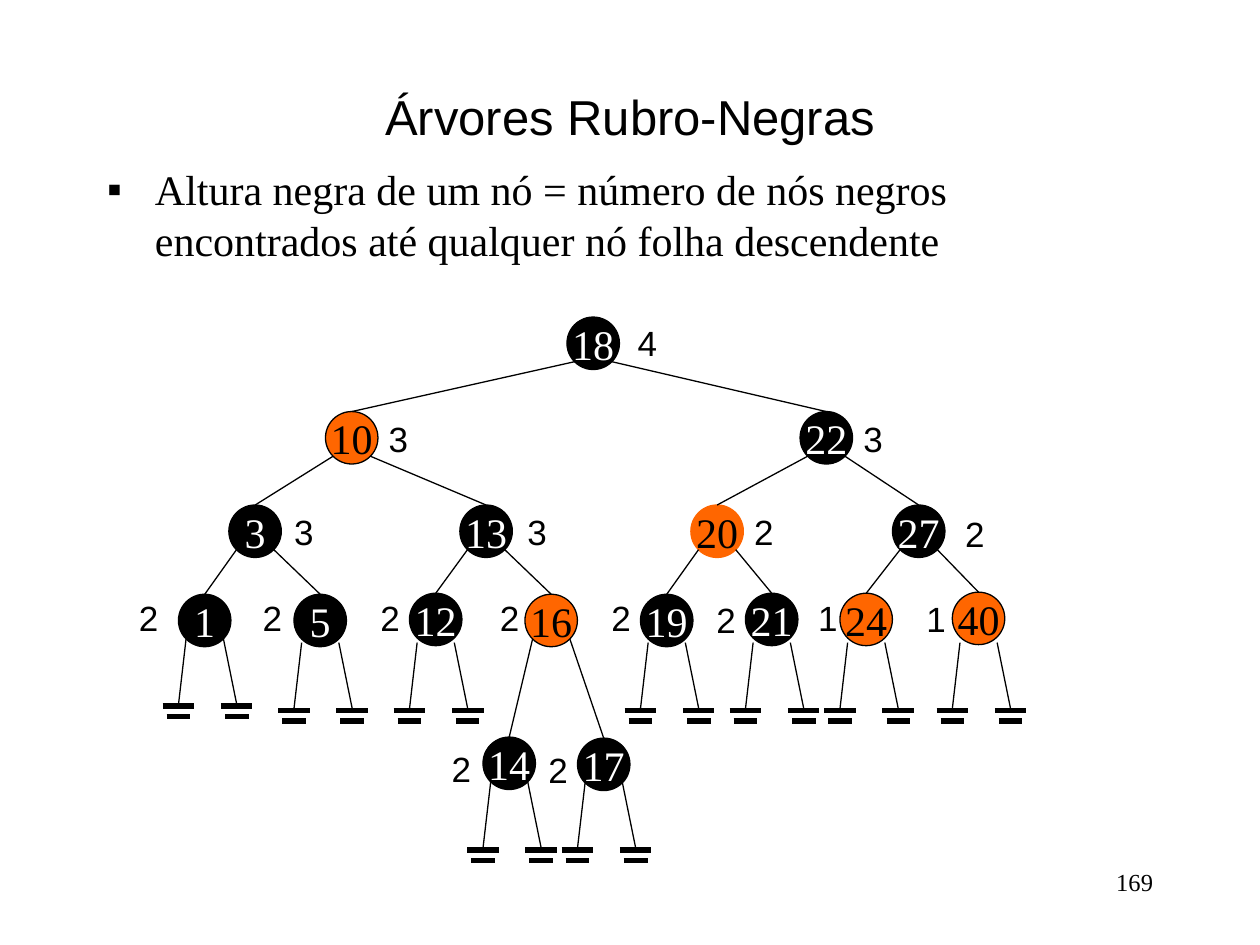
from dataclasses import dataclass

from lxml import etree
from pptx import Presentation
from pptx import util as u
from pptx.dml import color
from pptx.enum import shapes, text
from pptx.oxml import ns


@dataclass(frozen=True)
class Theme:
    black: color.RGBColor = color.RGBColor(0, 0, 0)
    white: color.RGBColor = color.RGBColor(255, 255, 255)
    orange: color.RGBColor = color.RGBColor(255, 102, 0)
    sans: str = "Arial"
    serif: str = "Times New Roman"
    title_size: int = 28
    body_size: int = 24
    label_size: int = 20
    number_size: int = 14
    thin: float = 0.75
    thick: float = 3


@dataclass(frozen=True)
class Node:
    key: int
    column: float
    row: float
    height: int
    label_column: float
    label_row: float
    children: tuple = ()
    ground_row: float = 0


THEME = Theme()
WIDTH, HEIGHT = u.Inches(10), u.Inches(7.5)
COLUMNS = 120
CELL = WIDTH / COLUMNS
DIAMETER = 5
FOOT = 1.77
FOOT_DROP = 4.25
LABEL_WIDTH, LABEL_HEIGHT = 4.3, 5.2
RED = {10, 16, 20, 24, 40}
UNLINED = {20}

TREE = [
    Node(18, 54, 30.2, 4, 59.5, 30, (10, 22)),
    Node(10, 31, 39.2, 3, 35.8, 39.2, (3, 13)),
    Node(22, 76.2, 39.2, 3, 81, 39.2, (20, 27)),
    Node(3, 21.8, 48.1, 3, 26.8, 48, (1, 5)),
    Node(13, 43.8, 48.1, 3, 49, 48, (12, 16)),
    Node(20, 65.8, 48.1, 2, 70.6, 48, (19, 21)),
    Node(27, 85, 48.1, 2, 90.7, 48.2, (24, 40)),
    Node(1, 17, 56.6, 2, 12, 56.2, ground_row=60.8),
    Node(5, 28, 56.6, 2, 23.8, 56.2, ground_row=61.2),
    Node(12, 39, 56.5, 2, 35, 56.2, ground_row=61.2),
    Node(16, 50, 56.6, 2, 46.4, 56.2, (14, 17)),
    Node(19, 61, 56.6, 2, 57, 56.2, ground_row=61.2),
    Node(21, 71, 56.5, 2, 67, 56.4, ground_row=61.2),
    Node(24, 80, 56.5, 1, 76.7, 56.2, ground_row=61.2),
    Node(40, 90.7, 56.4, 1, 87, 56.3, ground_row=61.2),
    Node(14, 46, 70.2, 2, 41.8, 70.6, ground_row=74.5),
    Node(17, 55, 70.3, 2, 51, 70.7, ground_row=74.5),
]


def cells(*counts):
    return [u.Emu(round(count * CELL)) for count in counts]


def write(shape, content, font_name, size, ink, alignment):
    paragraph = shape.text_frame.paragraphs[0]
    paragraph.text = content
    paragraph.alignment = alignment
    paragraph.font.name = font_name
    paragraph.font.size = u.Pt(size)
    paragraph.font.color.rgb = ink
    return paragraph


def place(shape, *bounds):
    shape.left, shape.top, shape.width, shape.height = cells(*bounds)


def fill_title(slide):
    title = slide.shapes.title
    place(title, 9, 8, 102, 6)
    title.text_frame.auto_size = text.MSO_AUTO_SIZE.NONE
    title.text_frame.vertical_anchor = text.MSO_ANCHOR.MIDDLE
    write(title, "Árvores Rubro-Negras", THEME.sans, THEME.title_size,
          THEME.black, text.PP_ALIGN.CENTER)


def fill_body(slide):
    body = slide.placeholders[1]
    place(body, 9, 15, 102, 65)
    body.text_frame.auto_size = text.MSO_AUTO_SIZE.NONE
    properties = body.text_frame.paragraphs[0]._p.get_or_add_pPr()
    indent = u.Inches(0.38)
    properties.set("marL", str(indent))
    properties.set("indent", str(-indent))
    etree.SubElement(properties, ns.qn("a:buChar")).set("char", "▪")
    paragraph = write(
        body,
        "Altura negra de um nó = número de nós negros "
        "encontrados até qualquer nó folha descendente",
        THEME.serif, THEME.body_size, THEME.black, text.PP_ALIGN.LEFT)
    paragraph.space_before = u.Pt(0)


def add_text(slide, content, bounds, font_name, size, alignment, wrap):
    box = slide.shapes.add_textbox(*cells(*bounds))
    box.text_frame.word_wrap = wrap
    write(box, content, font_name, size, THEME.black, alignment)


def add_line(parent, start, end, weight):
    line = parent.shapes.add_connector(
        shapes.MSO_CONNECTOR.STRAIGHT, *cells(*start, *end))
    line.line.color.rgb = THEME.black
    line.line.width = u.Pt(weight)
    etree.SubElement(line._element.spPr, ns.qn("a:effectLst"))
    return line


def add_node(slide, node):
    is_red = node.key in RED
    circle = slide.shapes.add_shape(
        shapes.MSO_SHAPE.OVAL,
        *cells(node.column, node.row, DIAMETER, DIAMETER))
    circle.shadow.inherit = False
    circle.fill.solid()
    circle.fill.fore_color.rgb = THEME.orange if is_red else THEME.black
    circle.line.color.rgb = THEME.orange if node.key in UNLINED else THEME.black
    circle.line.width = u.Pt(THEME.thin)
    circle.text_frame.word_wrap = False
    circle.text_frame.vertical_anchor = text.MSO_ANCHOR.MIDDLE
    write(circle, str(node.key), THEME.serif, THEME.body_size,
          THEME.black if is_red else THEME.white, text.PP_ALIGN.CENTER)
    return circle


def add_edges(slide, node, nodes, circles):
    for side, key in zip((-1, 1), node.children):
        child = nodes[key]
        center = node.column + DIAMETER / 2
        edge = add_line(
            slide,
            (center + side * FOOT, node.row + FOOT_DROP),
            (child.column + DIAMETER / 2, child.row), THEME.thin)
        edge.end_connect(circles[key], 0)


def add_grounds(slide, node):
    center = node.column + DIAMETER / 2
    for foot, tip in ((-FOOT, -2.5), (FOOT, 3.05)):
        middle = center + tip
        add_line(slide, (center + foot, node.ground_row),
                 (middle, node.ground_row + 6.3), THEME.thin)
        symbol = slide.shapes.add_group_shape()
        for half, drop in ((1.5, 6.45), (1.12, 7.47)):
            row = node.ground_row + drop
            add_line(symbol, (middle - half, row), (middle + half, row),
                     THEME.thick)


def add_tree(slide):
    nodes = {node.key: node for node in TREE}
    circles = {node.key: add_node(slide, node) for node in TREE}
    for node in TREE:
        add_edges(slide, node, nodes, circles)
        if node.ground_row:
            add_grounds(slide, node)
        add_text(slide, str(node.height),
                 (node.label_column, node.label_row, LABEL_WIDTH, LABEL_HEIGHT),
                 THEME.sans, THEME.label_size, text.PP_ALIGN.CENTER, False)


def main():
    presentation = Presentation()
    presentation.slide_width, presentation.slide_height = WIDTH, HEIGHT
    slide = presentation.slides.add_slide(presentation.slide_layouts[1])
    fill_title(slide)
    fill_body(slide)
    add_tree(slide)
    add_text(slide, "169", (86, 82, 25, 6), THEME.serif,
             THEME.number_size, text.PP_ALIGN.RIGHT, True)
    presentation.save("out.pptx")


if __name__ == "__main__":
    main()
